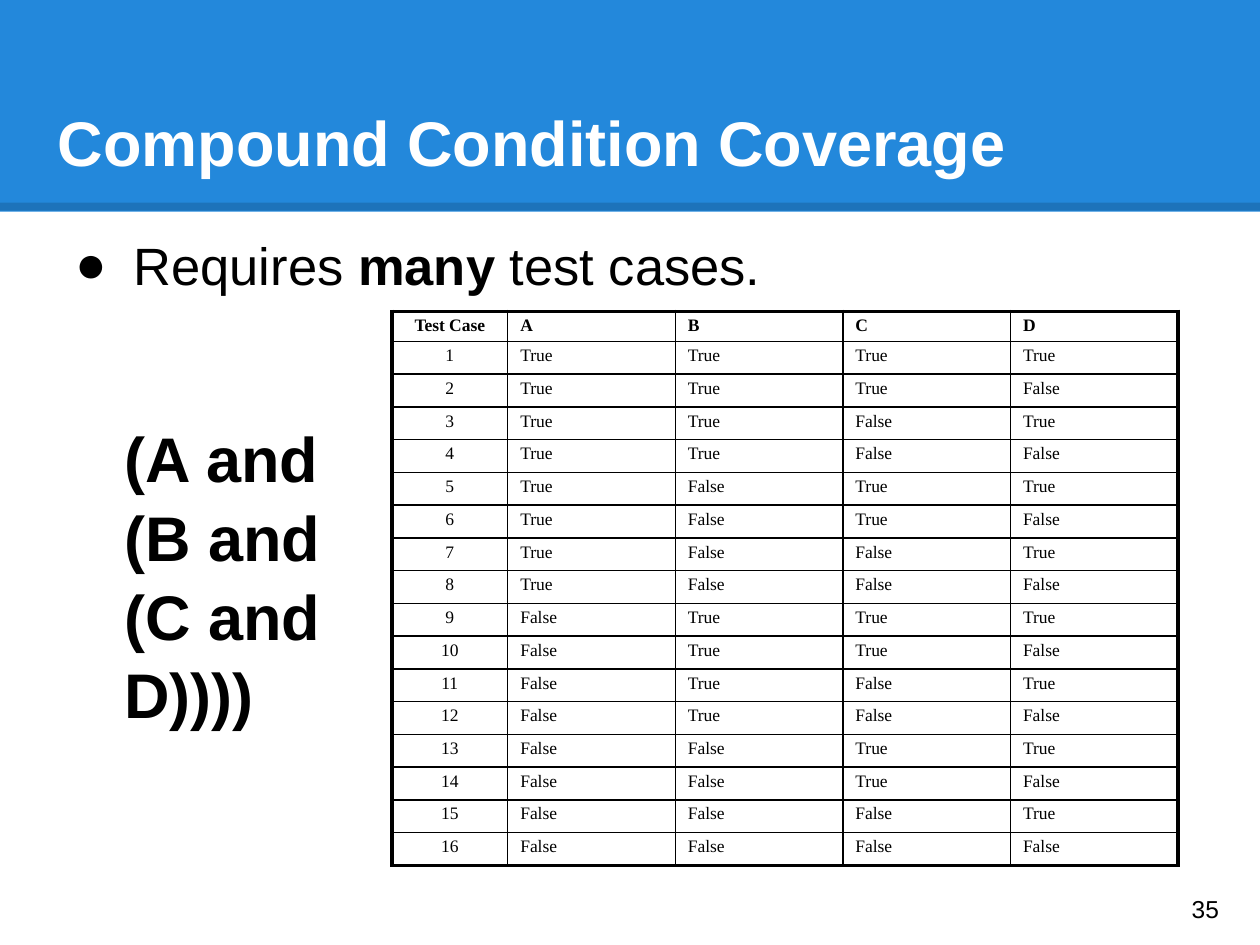
from itertools import product

from lxml import etree
from pptx import Presentation
from pptx.dml.color import RGBColor
from pptx.enum.shapes import MSO_CONNECTOR, MSO_SHAPE
from pptx.enum.text import MSO_ANCHOR, MSO_AUTO_SIZE, PP_ALIGN
from pptx.oxml.ns import qn
from pptx.util import Inches, Pt

RECTANGLE = MSO_SHAPE.RECTANGLE
STRAIGHT = MSO_CONNECTOR.STRAIGHT
TOP, MIDDLE = MSO_ANCHOR.TOP, MSO_ANCHOR.MIDDLE
LEFT, CENTER = PP_ALIGN.LEFT, PP_ALIGN.CENTER
NO_AUTOFIT = MSO_AUTO_SIZE.NONE

WIDTH, HEIGHT = 10, 7.5
BLUE, BLACK, WHITE = "2388DB", "000000", "FFFFFF"
THIN, THICK = 1, 2.25


def color(hex_value):
    return RGBColor.from_string(hex_value)


def place(shape, left, top, width, height):
    shape.left, shape.top = Inches(left), Inches(top)
    shape.width, shape.height = Inches(width), Inches(height)


def set_insets(holder, insets):
    (holder.margin_left, holder.margin_top,
     holder.margin_right, holder.margin_bottom) = map(Inches, insets)


def write(frame, paragraphs, size, font="Arial", ink=BLACK, bold=False,
          align=LEFT, spacing=1.0, before=0):
    for index, runs in enumerate(paragraphs):
        paragraph = frame.add_paragraph() if index else frame.paragraphs[0]
        paragraph.alignment = align
        paragraph.line_spacing = spacing
        paragraph.space_before = Pt(before)
        for words, emphasis in [(runs, bold)] if isinstance(runs, str) else runs:
            run = paragraph.add_run()
            run.text = words
            run.font.size, run.font.name = Pt(size), font
            run.font.bold = emphasis
            run.font.color.rgb = color(ink)


def set_frame(frame, insets, anchor=TOP):
    frame.word_wrap = True
    frame.auto_size = NO_AUTOFIT
    frame.vertical_anchor = anchor
    set_insets(frame, insets)


def add_text(slide, box, paragraphs, insets=(0.1,) * 4, anchor=TOP, **style):
    frame = slide.shapes.add_textbox(*map(Inches, box)).text_frame
    set_frame(frame, insets, anchor)
    write(frame, paragraphs, **style)
    return frame


def add_bullet(paragraph, margin, indent):
    properties = paragraph._p.get_or_add_pPr()
    properties.set("marL", str(Inches(margin)))
    properties.set("indent", str(Inches(indent)))
    etree.SubElement(properties, qn("a:buFont"), typeface="Arial")
    etree.SubElement(properties, qn("a:buChar"), char="●")


def add_banner(slide):
    banner = slide.shapes.add_shape(RECTANGLE, 0, 0, Inches(WIDTH), Inches(1.68))
    banner.shadow.inherit = False
    banner.fill.solid()
    banner.fill.fore_color.rgb = color(BLUE)
    banner.line.fill.background()

    y = Inches(1.64)
    edge = slide.shapes.add_connector(STRAIGHT, 0, y, Inches(WIDTH), y)
    edge.line.width = Pt(4.5)
    edge.line.color.rgb = color(BLACK)
    tint = edge._element.spPr.find(".//" + qn("a:srgbClr"))
    etree.SubElement(tint, qn("a:alpha"), val="15000")
    etree.SubElement(edge._element.spPr, qn("a:effectLst"))


def add_title(slide, words):
    title = slide.shapes.title
    place(title, 0.36, 0.5, 9, 1.25)
    set_frame(title.text_frame, (0.1, 0.05, 0.05, 0.05), MIDDLE)
    write(title.text_frame, [words], size=36, ink=WHITE, bold=True)
    title._element.getparent().append(title._element)


def set_borders(cell, **widths):
    properties = cell._tc.get_or_add_tcPr()
    for side in "LRTB":
        border = etree.SubElement(properties, qn("a:ln" + side),
                                  w=str(Pt(widths[side])))
        fill = etree.SubElement(border, qn("a:solidFill"))
        etree.SubElement(fill, qn("a:srgbClr"), val=BLACK)


def add_truth_table(slide, conditions):
    cases = product(("True", "False"), repeat=len(conditions))
    rows = [("Test Case", *conditions)]
    rows += [(str(number), *case) for number, case in enumerate(cases, 1)]
    widths = [0.92] + [1.33] * len(conditions)
    heights = [0.24] + [0.26] * (len(rows) - 1)
    last_row, last_column = len(rows) - 1, len(widths) - 1

    table = slide.shapes.add_table(
        len(rows), len(widths), Inches(3.11), Inches(2.47),
        Inches(sum(widths)), Inches(sum(heights))).table
    table.first_row = table.horz_banding = False
    for column, width in zip(table.columns, widths):
        column.width = Inches(width)
    for row, height in zip(table.rows, heights):
        row.height = Inches(height)

    for r, values in enumerate(rows):
        for c, value in enumerate(values):
            cell = table.cell(r, c)
            set_insets(cell, (0.1, 0.05, 0.1, 0.05))
            write(cell.text_frame, [value], size=10, font="Times New Roman",
                  bold=r == 0, align=LEFT if c else CENTER, spacing=0.9)
            set_borders(cell,
                        L=THIN if c else THICK,
                        R=THICK if c == last_column else THIN,
                        T=THIN if r else THICK,
                        B=THICK if r == last_row else THIN)
            cell.fill.background()


def main():
    deck = Presentation()
    deck.slide_width, deck.slide_height = Inches(WIDTH), Inches(HEIGHT)
    slide = deck.slides.add_slide(deck.slide_layouts[5])

    add_banner(slide)
    add_title(slide, "Compound Condition Coverage")
    claim = add_text(
        slide, (0.5, 1.75, 9, 5.43),
        [[("Requires ", False), ("many", True), (" test cases.", False)]],
        insets=(0.06, 0.1, 0.1, 0.05), size=30, before=3)
    add_bullet(claim.paragraphs[0], 0.5, -0.46)
    add_text(slide, (0.89, 3.21, 2.3, 0.84),
             ["(A and", "(B and", "(C and D))))"],
             size=36, bold=True, spacing=1.04)
    add_truth_table(slide, "ABCD")
    add_text(slide, (9.36, 6.93, 0.6, 0.57), ["35"], anchor=MIDDLE, size=14)

    deck.save("out.pptx")


main()
